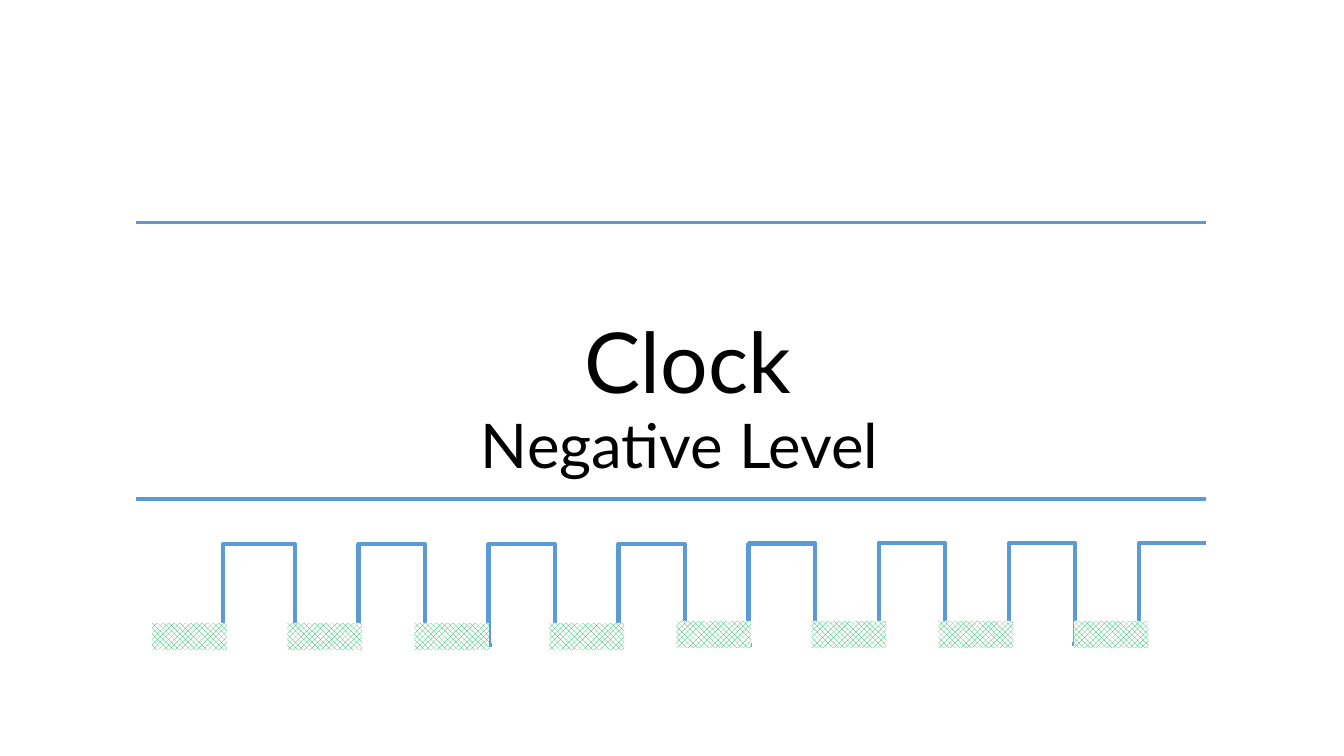
import pptx
import pptx.util
import pptx.dml.color
import pptx.enum.dml
import pptx.enum.shapes
import pptx.enum.text
import pptx.oxml.ns
import lxml.etree

Inches = pptx.util.Inches
BLUE = pptx.dml.color.RGBColor(0x5B, 0x9B, 0xD5)
GREEN = pptx.dml.color.RGBColor(0x00, 0xB0, 0x50)
WHITE = pptx.dml.color.RGBColor(0xFF, 0xFF, 0xFF)
BLACK = pptx.dml.color.RGBColor(0x00, 0x00, 0x00)
CONNECTOR = pptx.enum.shapes.MSO_CONNECTOR

PERIOD = 1.29
EDGE_WIDTH, EDGE_HEIGHT = 1.33, 1
CLOCK_TOP = 5.4
LEVEL_TOP, LEVEL_WIDTH, LEVEL_HEIGHT = 6.18, 0.74, 0.27
LEVEL_GAP, LEVEL_PAIR = 1.34, 2.6
RULE_LEFT, RULE_RIGHT = 1.35, 11.96

presentation = pptx.Presentation()
presentation.slide_width = Inches(13.33)
presentation.slide_height = Inches(7.5)
slide = presentation.slides.add_slide(presentation.slide_layouts[5])


def draw_line(kind, left, start, right, end, width):
    connector = slide.shapes.add_connector(
        kind, Inches(left), Inches(start), Inches(right), Inches(end))
    connector.line.color.rgb = BLUE
    connector.line.width = pptx.util.Pt(width)
    lxml.etree.SubElement(connector._element.spPr, pptx.oxml.ns.qn("a:effectLst"))


def write_text(shape, left, top, width, height, text, size):
    shape.left, shape.top = Inches(left), Inches(top)
    shape.width, shape.height = Inches(width), Inches(height)
    frame = shape.text_frame
    frame.text = text
    frame.word_wrap = True
    frame.auto_size = pptx.enum.text.MSO_AUTO_SIZE.SHAPE_TO_FIT_TEXT
    frame.vertical_anchor = pptx.enum.text.MSO_ANCHOR.TOP
    paragraph = frame.paragraphs[0]
    paragraph.alignment = pptx.enum.text.PP_ALIGN.CENTER
    font = paragraph.runs[0].font
    font.name = "Lato"
    font.size = pptx.util.Pt(size)
    font.color.rgb = BLACK


for rule_top in (4.95, 2.21):
    draw_line(CONNECTOR.STRAIGHT, RULE_LEFT, rule_top, RULE_RIGHT, rule_top, 2.5)

write_text(slide.shapes.title, 1.51, 3.02, 10.62, 1.11, "Clock", 60)
subtitle = slide.shapes.add_textbox(0, 0, 0, 0)
write_text(subtitle, 0.53, 3.99, 12.58, 0.84, "Negative Level ", 44)

rising_lefts = [1.55] + [2.89 + PERIOD * pulse for pulse in range(7)]
falling_lefts = [2.26 + PERIOD * pulse for pulse in range(7)]

for pulse, left in enumerate(rising_lefts):
    top = CLOCK_TOP if pulse < 5 else CLOCK_TOP - 0.01
    draw_line(CONNECTOR.ELBOW, left, top + EDGE_HEIGHT, left + EDGE_WIDTH, top, 3)

for pulse, left in enumerate(falling_lefts):
    top = CLOCK_TOP if pulse < 4 else CLOCK_TOP - 0.01
    draw_line(CONNECTOR.ELBOW, left, top, left + EDGE_WIDTH, top + EDGE_HEIGHT, 3)

for level in range(8):
    pair, second = divmod(level, 2)
    left = 1.51 + LEVEL_PAIR * pair + LEVEL_GAP * second
    top = LEVEL_TOP if level < 4 else LEVEL_TOP - 0.02
    low_level = slide.shapes.add_shape(
        pptx.enum.shapes.MSO_SHAPE.RECTANGLE,
        Inches(left), Inches(top), Inches(LEVEL_WIDTH), Inches(LEVEL_HEIGHT))
    low_level.shadow.inherit = False
    low_level.line.fill.background()
    low_level.fill.patterned()
    low_level.fill.pattern = pptx.enum.dml.MSO_PATTERN.LARGE_CHECKER_BOARD
    low_level.fill.fore_color.rgb = GREEN
    low_level.fill.back_color.rgb = WHITE

presentation.save("out.pptx")
